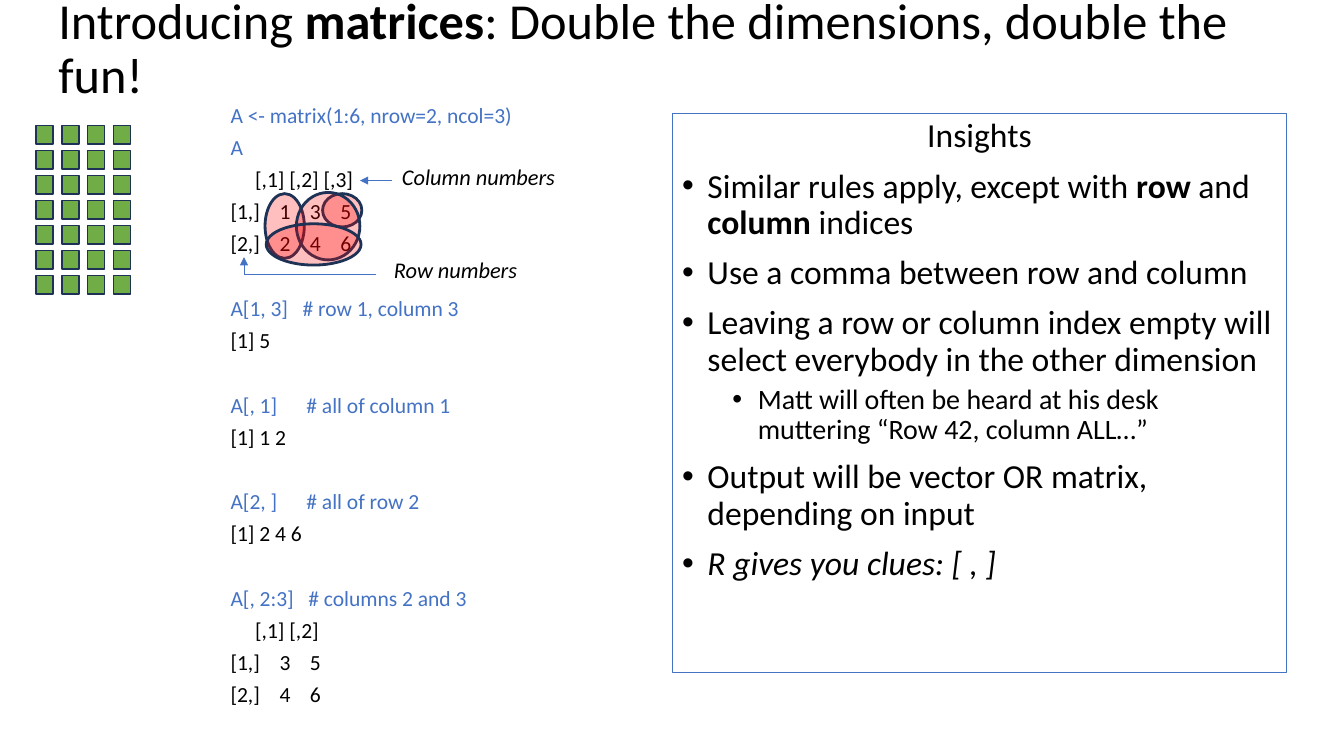
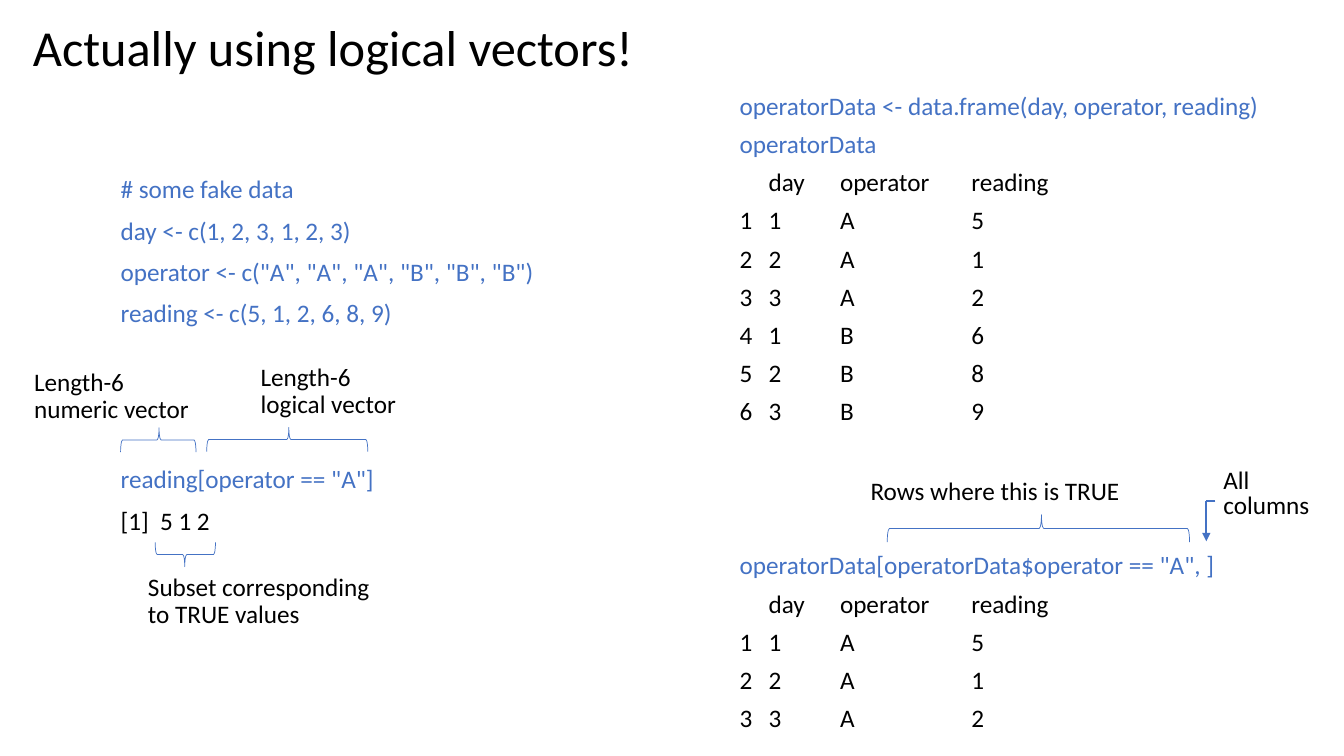
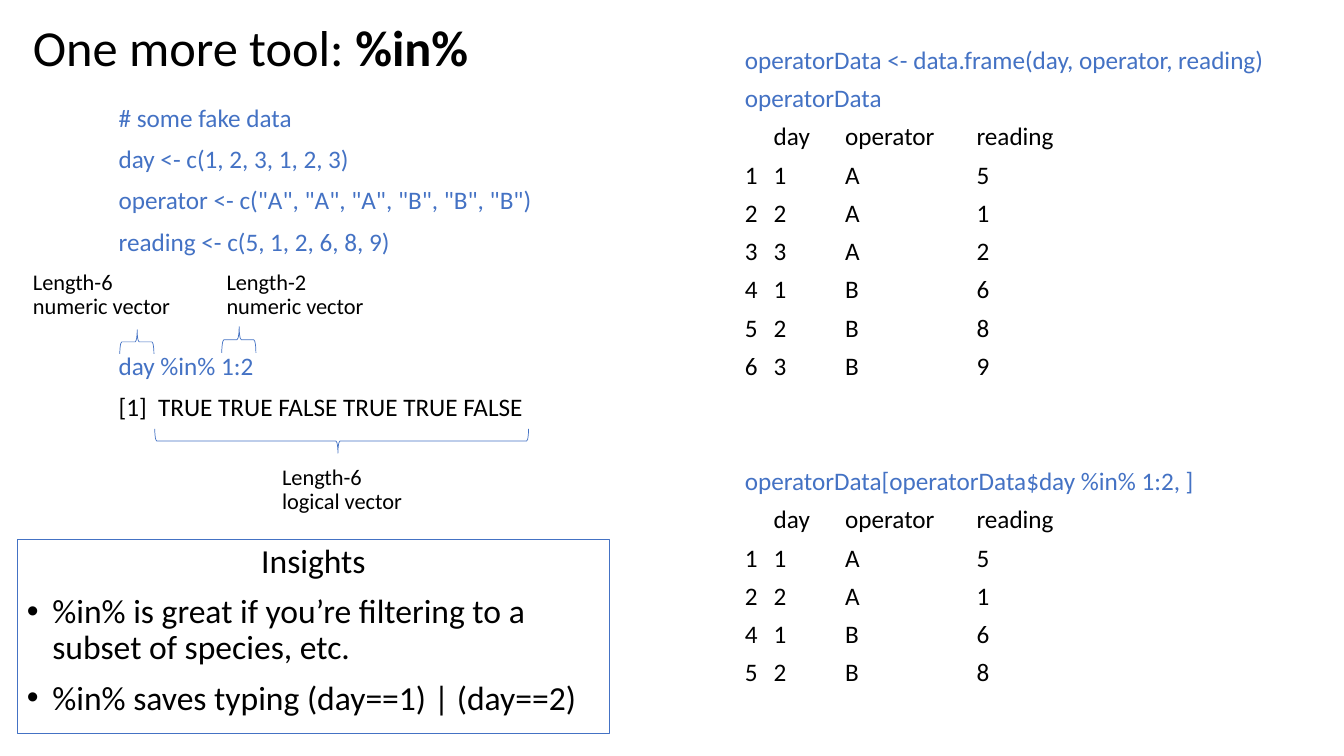
from dataclasses import dataclass
from itertools import pairwise, product

from lxml import etree
from pptx import Presentation
from pptx.dml.color import RGBColor
from pptx.enum.shapes import MSO_CONNECTOR as Connector, MSO_SHAPE as Shape
from pptx.enum.text import MSO_ANCHOR as Anchor
from pptx.oxml.ns import qn
from pptx.util import Cm, Pt

BLACK = RGBColor(0x00, 0x00, 0x00)
BLUE = RGBColor(0x44, 0x72, 0xC4)
GREEN = RGBColor(0x70, 0xAD, 0x47)
NAVY = RGBColor(0x1E, 0x32, 0x56)
RED = RGBColor(0xFF, 0x00, 0x00)
FONT = "Calibri"
LINE_HEIGHT = 1.22
PARAGRAPH_GAP = 10
MATRIX_TABS = (0.62, 1.24, 2, 2.77)
FRAME_TABS = (0.73, 2.53, 5.84)
FAKE_DATA = [
    "# some fake data",
    "day <- c(1, 2, 3, 1, 2, 3)",
    'operator <- c("A", "A", "A", "B", "B", "B")',
    "reading <- c(5, 1, 2, 6, 8, 9)",
]
OPERATOR_ROWS = [
    (1, 1, "A", 5), (2, 2, "A", 1), (3, 3, "A", 2),
    (4, 1, "B", 6), (5, 2, "B", 8), (6, 3, "B", 9),
]


@dataclass
class Line:
    """One paragraph, with the number of line heights skipped above it."""

    text: str
    color: RGBColor = BLACK
    skipped: int = 0
    level: int = 0
    italic: bool = False


def code(text, skipped=0):
    """Return a line of typed code."""
    return Line(text, BLUE, skipped)


def add_bullet(paragraph, level):
    """Give a paragraph a hanging bullet."""
    properties = paragraph._p.get_or_add_pPr()
    properties.set("marL", str(Cm(0.64 if level == 1 else 1.91)))
    properties.set("indent", str(-Cm(0.64)))
    etree.SubElement(properties, qn("a:buFont"), typeface="Arial")
    etree.SubElement(properties, qn("a:buChar"), char="•")


def add_tabs(paragraph, stops):
    """Set left tab stops, in centimetres."""
    tab_list = etree.SubElement(paragraph._p.get_or_add_pPr(), qn("a:tabLst"))
    for stop in stops:
        etree.SubElement(tab_list, qn("a:tab"), pos=str(Cm(stop)), algn="l")


def write(frame, lines, size=18, spacing=0.9, tabs=(), anchor=Anchor.TOP):
    """Fill a text frame with lines; double asterisks switch bold."""
    frame.word_wrap = True
    frame.vertical_anchor = anchor
    for index, line in enumerate(lines):
        paragraph = frame.add_paragraph() if index else frame.paragraphs[0]
        if line.level:
            add_bullet(paragraph, line.level)
        if tabs:
            add_tabs(paragraph, tabs)
        paragraph.line_spacing = spacing
        if index:
            gap = PARAGRAPH_GAP / 2 if line.level == 2 else PARAGRAPH_GAP
            pitch = PARAGRAPH_GAP + spacing * size * LINE_HEIGHT
            paragraph.space_before = Pt(round(gap + line.skipped * pitch, 1))
        for position, part in enumerate(line.text.split("**")):
            if part:
                run = paragraph.add_run()
                run.text = part
                run.font.name = FONT
                run.font.size = Pt(size - 4 if line.level == 2 else size)
                run.font.bold = position % 2 == 1
                run.font.italic = line.italic
                run.font.color.rgb = line.color


def add_text(slide, left, top, width, height, lines, **text_format):
    """Add a text box; a plain string stands for one black line."""
    box = slide.shapes.add_textbox(Cm(left), Cm(top), Cm(width), Cm(height))
    lines = [Line(lines)] if isinstance(lines, str) else lines
    write(box.text_frame, lines, **text_format)


def add_title(slide, text, left=0.58, width=31.62):
    """Add the slide title."""
    add_text(slide, left, 0, width, 2.54, text, size=36, anchor=Anchor.MIDDLE)


def add_outline(slide, kind, box, line_color, line_width, fill=None, opacity=None):
    """Add a preset shape with a line and an optional fill."""
    shape = slide.shapes.add_shape(kind, *map(Cm, box))
    shape.shadow.inherit = False
    shape.line.color.rgb = line_color
    shape.line.width = Pt(line_width)
    if fill is None:
        shape.fill.background()
    else:
        shape.fill.solid()
        shape.fill.fore_color.rgb = fill
    if opacity is not None:
        color = shape._element.spPr.find(qn("a:solidFill"))[0]
        etree.SubElement(color, qn("a:alpha"), val=str(opacity * 1000))
    return shape


def add_arrow(slide, points, width=0.5):
    """Join points with straight lines, ending in an arrowhead."""
    for start, end in pairwise(points):
        connector = slide.shapes.add_connector(
            Connector.STRAIGHT, *map(Cm, (*start, *end)))
        connector.line.color.rgb = BLUE
        connector.line.width = Pt(width)
        etree.SubElement(connector._element.spPr, qn("a:effectLst"))
    etree.SubElement(connector.line._get_or_add_ln(), qn("a:tailEnd"), type="triangle")


def add_brace(slide, left, top, width, height=0.61, up=True):
    """Add a horizontal brace filling the given box."""
    shift = (width - height) / 2
    box = (left + shift, top - shift, height, width)
    brace = add_outline(slide, Shape.RIGHT_BRACE, box, BLUE, 0.5)
    brace.adjustments[0] = 0.08
    brace.adjustments[1] = 0.51
    brace.rotation = 270 if up else 90


def add_insights(slide, box, points):
    """Add the framed list of insights."""
    panel = add_outline(slide, Shape.RECTANGLE, box, BLUE, 0.75)
    write(panel.text_frame, [Line("Insights"), *points], size=24)


def add_cell_grid(slide, left, top, columns=4, rows=7):
    """Draw a matrix as a grid of small squares."""
    for column, row in product(range(columns), range(rows)):
        box = (left + column * 0.65, top + row * 0.63, 0.43, 0.46)
        add_outline(slide, Shape.RECTANGLE, box, NAVY, 1, GREEN)


def add_matrix_listing(slide, left, top):
    """Add the matrix session with its labels and highlighted selections."""
    lines = [
        code("A <- matrix(1:6, nrow=2, ncol=3)"),
        code("A"),
        Line("\t[,1] [,2] [,3]"),
        Line("[1,]\t1\t3\t5"),
        Line("[2,]\t2\t4\t6"),
        code("A[1, 3]   # row 1, column 3", 1),
        Line("[1] 5"),
        code("A[, 1]      # all of column 1", 1),
        Line("[1] 1 2"),
        code("A[2, ]      # all of row 2", 1),
        Line("[1] 2 4 6"),
        code("A[, 2:3]   # columns 2 and 3", 1),
        Line("\t[,1] [,2]"),
        Line("[1,]\t3\t5"),
        Line("[2,]\t4\t6"),
    ]
    add_text(slide, left, top, 10.31, 16.18, lines,
             size=15.4, spacing=0.7, tabs=MATRIX_TABS)
    for x, y, label in [(4.32, 1.44, "Column numbers"), (4.12, 3.78, "Row numbers")]:
        add_text(slide, left + x, top + y, 4.88, 0.79,
                 [Line(label, italic=True)], size=16)
    column_arrow = [(4.32, 1.93), (3.51, 1.93)]
    row_arrow = [(3.91, 4.29), (0.59, 4.29), (0.59, 3.86)]
    for points in (column_arrow, row_arrow):
        add_arrow(slide, [(left + x, top + y) for x, y in points])
    selections = [
        (2.57, 2.26, 0.99, 0.84), (1.12, 2.26, 0.99, 1.63),
        (1.91, 2.23, 1.6, 1.7), (1.15, 3.02, 2.39, 1.04),
    ]
    for x, y, width, height in selections:
        add_outline(slide, Shape.OVAL, (left + x, top + y, width, height),
                    NAVY, 2, RED, opacity=25)


def add_vector_listing(slide, left, top, call, output, skipped):
    """Add the fake data and one call with its output."""
    lines = [*map(code, FAKE_DATA), code(call, skipped), Line(output)]
    add_text(slide, left, top, 11.66, 11.15, lines)


def add_frame_listing(slide, left, top, call, kept, skipped):
    """Add the whole data frame, then a call and the rows it keeps."""
    def printed(rows):
        return [Line("\tday\toperator\treading"),
                *(Line("\t".join(map(str, row))) for row in rows)]

    lines = [
        code("operatorData <- data.frame(day, operator, reading)"),
        code("operatorData"),
        *printed(OPERATOR_ROWS),
        code(call, skipped),
        *printed(row for row in OPERATOR_ROWS if row[0] in kept),
    ]
    add_text(slide, left, top, 14.07, 16.76, lines, spacing=0.8, tabs=FRAME_TABS)


def build_matrices(slide):
    """Build the slide on matrices."""
    add_title(slide, "Introducing **matrices**: Double the dimensions, double the fun!",
              left=1.22, width=32.13)
    add_insights(slide, (16.94, 2.87, 15.49, 14.07), [
        Line("Similar rules apply, except with **row **and **column** indices", level=1),
        Line("Use a comma between row and column", level=1),
        Line("Leaving a row or column index empty will select everybody "
             "in the other dimension", level=1),
        Line("Matt will often be heard at his desk muttering "
             "“Row 42, column ALL…”", level=2),
        Line("Output will be vector OR matrix, depending on input", level=1),
        Line("R gives you clues: [ , ]", level=1, italic=True),
    ])
    add_cell_grid(slide, 0.91, 3.17)
    add_matrix_listing(slide, 5.56, 2.62)


def build_logical_vectors(slide):
    """Build the slide on logical vectors."""
    add_title(slide, "Actually using logical vectors!")
    add_vector_listing(slide, 2.79, 4.34, 'reading[operator == "A"]', "[1]  5 1 2", 3)
    add_frame_listing(slide, 18.39, 2.29,
                      'operatorData[operatorData$operator == "A", ]', (1, 2, 3), 3)
    add_text(slide, 0.61, 9.19, 4.62, 1.85, "Length-6 numeric vector")
    add_text(slide, 6.32, 9.07, 4.01, 1.85, "Length-6 logical vector")
    add_text(slide, 21.69, 11.94, 7.32, 1.02, "Rows where this is TRUE")
    add_text(slide, 30.58, 11.73, 2.82, 1.52, "All columns", spacing=0.8)
    add_text(slide, 3.48, 14.35, 6.22, 1.75, "Subset corresponding to TRUE values")
    add_brace(slide, 3.04, 10.78, 1.9)
    add_brace(slide, 5.21, 10.77, 4.06)
    add_brace(slide, 22.36, 12.97, 7.62, 0.69)
    add_brace(slide, 3.91, 13.67, 1.52, up=False)
    add_arrow(slide, [(30.63, 12.62), (30.4, 12.62), (30.4, 13.64)], width=1.5)


def build_in_operator(slide):
    """Build the slide on the %in% operator."""
    add_title(slide, "One more tool: **%in%**")
    add_vector_listing(slide, 2.74, 2.54, "day %in% 1:2",
                       "[1]  TRUE TRUE FALSE TRUE TRUE FALSE", 2)
    add_frame_listing(slide, 18.52, 1.14,
                      "operatorData[operatorData$day %in% 1:2, ]", (1, 2, 4, 5), 2)
    add_text(slide, 0.58, 6.71, 4.11, 1.85, "Length-6 numeric vector", size=16)
    add_text(slide, 5.46, 6.71, 4.11, 1.85, "Length-2 numeric vector", size=16)
    add_text(slide, 6.86, 11.63, 4.01, 1.85, "Length-6 logical vector", size=16)
    add_brace(slide, 3.02, 8.31, 0.86)
    add_brace(slide, 5.59, 8.23, 0.86, 0.66)
    add_brace(slide, 3.9, 10.81, 9.42, up=False)
    add_insights(slide, (0.43, 13.59, 14.94, 4.9), [
        Line("%in% is great if you’re filtering to a subset of species, etc.", level=1),
        Line("%in% saves typing (day==1) | (day==2)", level=1),
    ])


def main():
    """Build and save the presentation."""
    presentation = Presentation()
    presentation.slide_width = Cm(33.87)
    presentation.slide_height = Cm(19.05)
    for build in (build_matrices, build_logical_vectors, build_in_operator):
        build(presentation.slides.add_slide(presentation.slide_layouts[6]))
    presentation.save("out.pptx")


if __name__ == "__main__":
    main()
